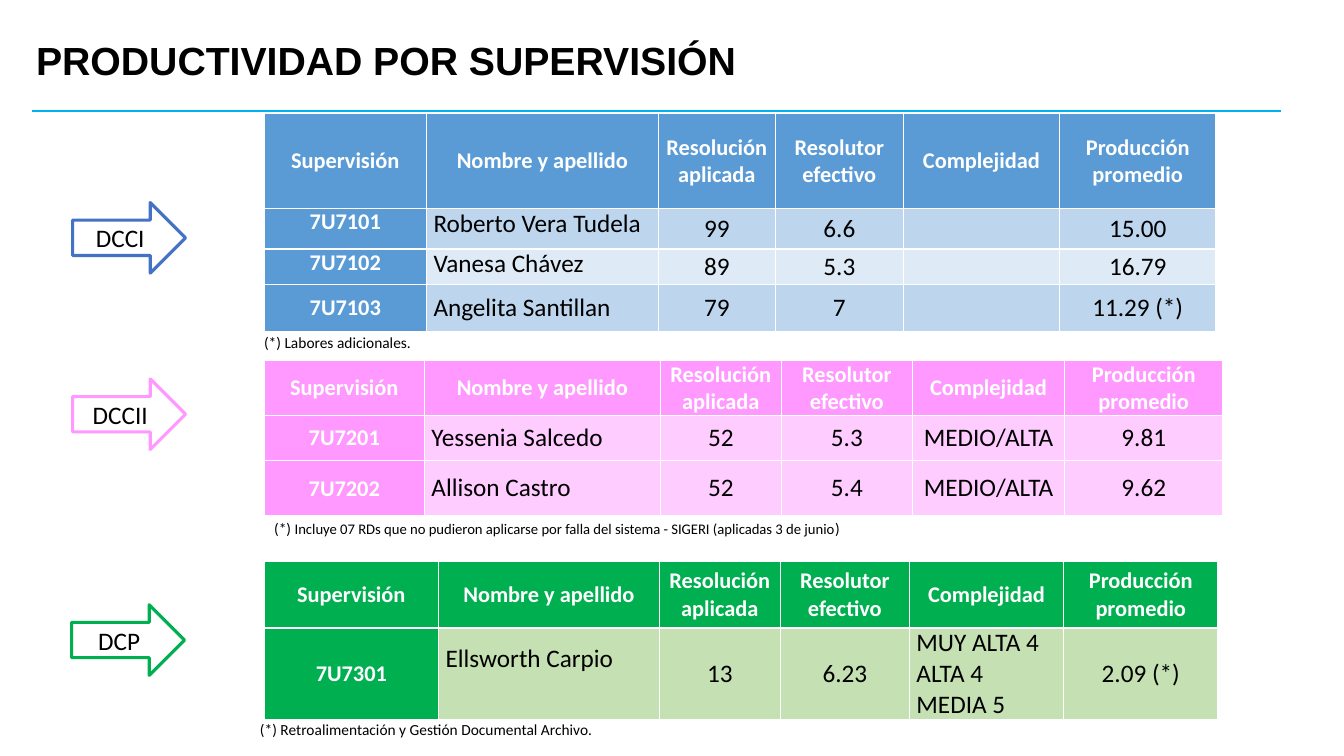
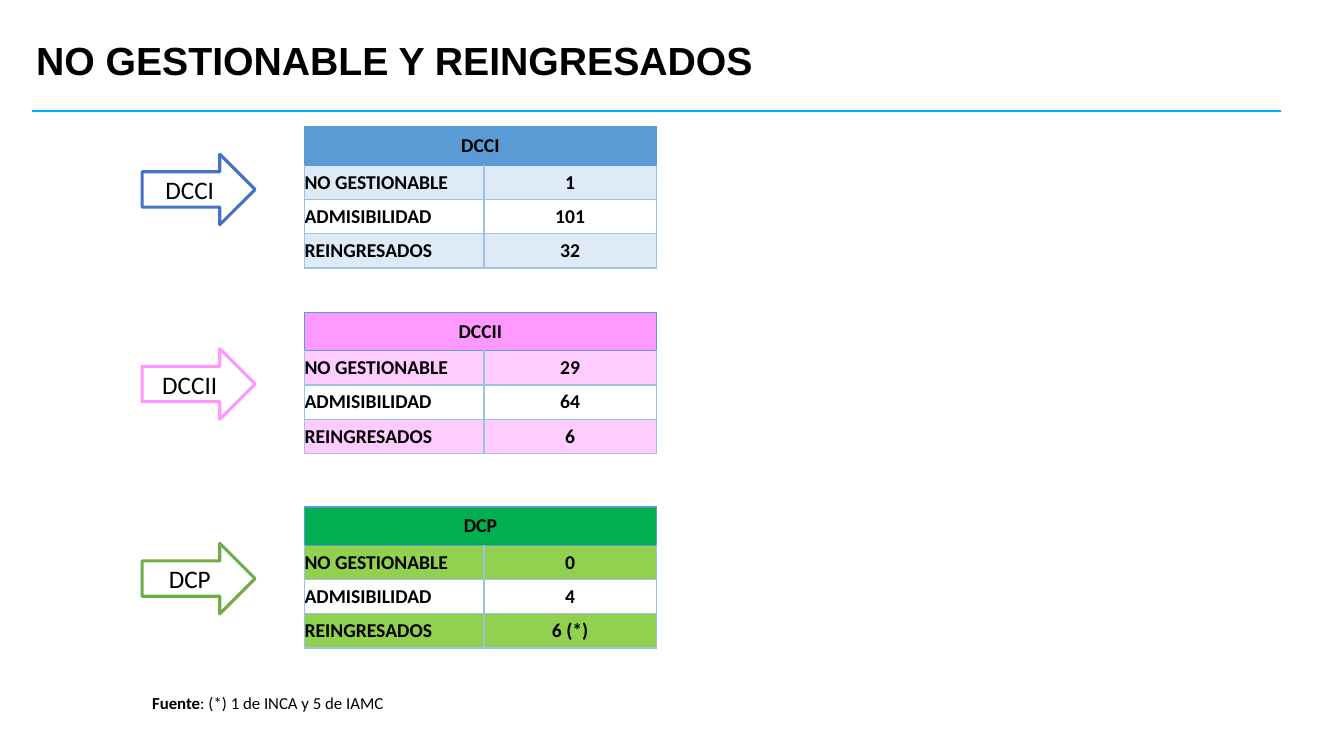
from lxml import etree
from pptx import Presentation
from pptx.dml.color import RGBColor
from pptx.enum.shapes import MSO_CONNECTOR, MSO_SHAPE
from pptx.enum.text import MSO_ANCHOR as ANCHOR, PP_ALIGN as ALIGN
from pptx.oxml.ns import qn
from pptx.util import Inches, Pt

COLORS = {
    "white": "FFFFFF",
    "black": "000000",
    "rule": "00B0F0",
    "blue": "5B9BD5",
    "blue_mid": "BDD6EE",
    "blue_pale": "DEEAF6",
    "blue_arrow": "4472C4",
    "blue_grid": "9CC2E5",
    "pink": "FF99FF",
    "pink_pale": "FFCCFF",
    "green": "00B050",
    "green_pale": "C5E0B3",
    "green_lime": "92D050",
    "green_arrow": "70AD47",
}
RGB = {name: RGBColor.from_string(code) for name, code in COLORS.items()}
BODY_FONT = "Calibri"
TITLE_FONT = "Arial"


def add_caption(slide, left, top, width, height, runs, font=BODY_FONT):
    """Add a one-paragraph text box; each run is (text, size, bold)."""
    frame = slide.shapes.add_textbox(
        Inches(left), Inches(top), Inches(width), Inches(height)).text_frame
    frame.word_wrap = True
    for text, size, bold in runs:
        run = frame.paragraphs[0].add_run()
        run.text = text
        run.font.name = font
        run.font.size = Pt(size)
        run.font.bold = bold
        run.font.color.rgb = RGB["black"]
    return frame


def style_cell(cell, text, fill, border, size, color="black", bold=False,
               align=ALIGN.CENTER, margin=0.07, top_border=None):
    """Write and format a cell; a fill of None leaves it transparent."""
    cell.text_frame.text = text
    cell.vertical_anchor = ANCHOR.MIDDLE
    cell.margin_left = cell.margin_right = Inches(margin)
    cell.margin_top = cell.margin_bottom = 0
    for paragraph in cell.text_frame.paragraphs:
        paragraph.alignment = align
        paragraph.font.size = Pt(size)
        for run in paragraph.runs:
            run.font.name = BODY_FONT
            run.font.size = Pt(size)
            run.font.bold = bold
            run.font.color.rgb = RGB[color]
    properties = cell._tc.get_or_add_tcPr()
    for side in "LRTB":
        line = etree.SubElement(properties, qn(f"a:ln{side}"), w=str(Pt(1)))
        solid = etree.SubElement(line, qn("a:solidFill"))
        side_color = top_border if side == "T" and top_border else border
        etree.SubElement(solid, qn("a:srgbClr"), val=COLORS[side_color])
    if fill:
        cell.fill.solid()
        cell.fill.fore_color.rgb = RGB[fill]
    else:
        cell.fill.background()


prs = Presentation()
prs.slide_width = Inches(13.33)
prs.slide_height = Inches(7.5)

# Shared heading and rule
slides = []
for heading in ("PRODUCTIVIDAD POR SUPERVISIÓN", "NO GESTIONABLE Y REINGRESADOS"):
    slide = prs.slides.add_slide(prs.slide_layouts[6])
    rule = slide.shapes.add_connector(
        MSO_CONNECTOR.STRAIGHT, Inches(0.32), Inches(1.1), Inches(12.71), Inches(1.1))
    rule.line.color.rgb = RGB["rule"]
    rule.line.width = Pt(1.5)
    etree.SubElement(rule._element.spPr, qn("a:effectLst"))
    title = add_caption(slide, 0.26, 0.27, 11.5, 0.7, [(heading, 28, True)], TITLE_FONT)
    title.vertical_anchor = ANCHOR.MIDDLE
    title.paragraphs[0].line_spacing = 0.9
    slides.append(slide)
productivity, unmanaged = slides

# Arrows naming each division
arrows = [
    (productivity, 0.72, 2.01, "DCCI", "blue_arrow"),
    (productivity, 0.72, 3.76, "DCCII", "pink"),
    (productivity, 0.71, 6, "DCP", "green"),
    (unmanaged, 1.41, 1.53, "DCCI", "blue_arrow"),
    (unmanaged, 1.41, 3.46, "DCCII", "pink"),
    (unmanaged, 1.41, 5.39, "DCP", "green_arrow"),
]
for slide, left, top, division, outline in arrows:
    arrow = slide.shapes.add_shape(
        MSO_SHAPE.RIGHT_ARROW, Inches(left), Inches(top), Inches(1.12), Inches(0.7))
    arrow.shadow.inherit = False
    arrow.fill.solid()
    arrow.fill.fore_color.rgb = RGB["white"]
    arrow.line.color.rgb = RGB[outline]
    arrow.line.width = Pt(2.25)
    arrow.text_frame.text = division
    arrow.text_frame.vertical_anchor = ANCHOR.MIDDLE
    label = arrow.text_frame.paragraphs[0]
    label.alignment = ALIGN.CENTER
    label.runs[0].font.name = BODY_FONT
    label.runs[0].font.size = Pt(18)
    label.runs[0].font.color.rgb = RGB["black"]

# Productivity tables
HEADERS = ["Supervisión", "Nombre y apellido", "Resolución aplicada",
           "Resolutor efectivo", "Complejidad", "Producción promedio"]
productivity_tables = [
    {"top": 1.13, "accent": "blue", "bands": ["blue_mid", "blue_pale"],
     "widths": [1.61, 2.3, 1.16, 1.27, 1.55, 1.55],
     "heights": [0.94, 0.4, 0.35, 0.47],
     "rows": [["7U7101", "Roberto Vera Tudela", "99", "6.6", "", "15.00"],
              ["7U7102", "Vanesa Chávez", "89", "5.3", "", "16.79"],
              ["7U7103", "Angelita Santillan", "79", "7", "", "11.29 (*)"]]},
    {"top": 3.58, "accent": "pink", "bands": ["pink_pale"],
     "widths": [1.59, 2.34, 1.2, 1.3, 1.51, 1.57],
     "heights": [0.54, 0.45, 0.55],
     "rows": [["7U7201", "Yessenia Salcedo", "52", "5.3", "MEDIO/ALTA", "9.81"],
              ["7U7202", "Allison Castro", "52", "5.4", "MEDIO/ALTA", "9.62"]]},
    {"top": 5.57, "accent": "green", "bands": ["green_pale"],
     "widths": [1.73, 2.19, 1.2, 1.28, 1.53, 1.53],
     "heights": [0.66, 0.91],
     "rows": [["7U7301", "Ellsworth Carpio", "13", "6.23",
               "MUY ALTA 4\nALTA 4\nMEDIA 5", "2.09 (*)"]]},
]
for division in productivity_tables:
    widths, heights = division["widths"], division["heights"]
    table = productivity.shapes.add_table(
        len(heights), len(widths), Inches(2.62), Inches(division["top"]),
        Inches(sum(widths)), Inches(sum(heights))).table
    table.horz_banding = table.first_row = False
    for column, width in zip(table.columns, widths):
        column.width = Inches(width)
    for row, height in zip(table.rows, heights):
        row.height = Inches(height)
    for r, values in enumerate([HEADERS] + division["rows"]):
        for c, value in enumerate(values):
            cell = table.cell(r, c)
            if r == 0 or c == 0:
                style_cell(cell, value, division["accent"], "white", 16, "white", True)
            else:
                band = division["bands"][(r - 1) % len(division["bands"])]
                left_aligned = c == 1 or "\n" in value
                style_cell(cell, value, band, "white", 18,
                           align=ALIGN.LEFT if left_aligned else ALIGN.CENTER)
            if value in ("7U7101", "7U7102", "Roberto Vera Tudela", "Vanesa Chávez"):
                cell.vertical_anchor = ANCHOR.TOP
            elif value == "Ellsworth Carpio":
                cell.margin_bottom = Inches(0.3)

# Footnotes under the productivity tables
footnotes = [
    (2.52, 3.26, [("(*) Labores adicionales.", 11, False)]),
    (2.62, 5.1, [("(*) ", 11, False),
                 ("Incluye 07 RDs que no pudieron aplicarse por falla del sistema"
                  " - SIGERI (aplicadas 3 de junio", 10.5, False),
                 (")", 11, False)]),
    (2.48, 7.09, [("(*) Retroalimentación y Gestión Documental Archivo.", 11, False)]),
]
for left, top, runs in footnotes:
    add_caption(productivity, left, top, 9.45, 0.29, runs)

# Unmanaged and re-entered counts
CATEGORIES = ["NO GESTIONABLE", "ADMISIBILIDAD", "REINGRESADOS"]
count_tables = [
    (1.26, "DCCI", "blue", "blue_pale", ["1", "101", "32"]),
    (3.1, "DCCII", "pink", "pink_pale", ["29", "64", "6"]),
    (5.03, "DCP", "green", "green_lime", ["0", "4", "6 (*)"]),
]
for top, division, accent, band, counts in count_tables:
    table = unmanaged.shapes.add_table(
        4, 2, Inches(3.02), Inches(top), Inches(3.49), Inches(1.41)).table
    table.horz_banding = table.first_row = False
    table.columns[0].width = Inches(1.78)
    table.columns[1].width = Inches(1.71)
    for r, row in enumerate(table.rows):
        row.height = Inches(0.34 if r else 0.38)
    for c, text in enumerate((division, "")):
        style_cell(table.cell(0, c), text, accent, "blue", 14, bold=True, margin=0)
    table.cell(0, 0).merge(table.cell(0, 1))
    for r, pair in enumerate(zip(CATEGORIES, counts), start=1):
        for c, text in enumerate(pair):
            style_cell(table.cell(r, c), text, band if r % 2 else None, "blue_grid", 14,
                       bold=True, align=ALIGN.CENTER if c else ALIGN.LEFT, margin=0,
                       top_border="blue" if r == 1 else None)

add_caption(unmanaged, 1.41, 6.82, 3.42, 0.3,
            [("Fuente", 12, True), (": (*) 1 de INCA y 5 de IAMC", 12, False)])

prs.save("out.pptx")
